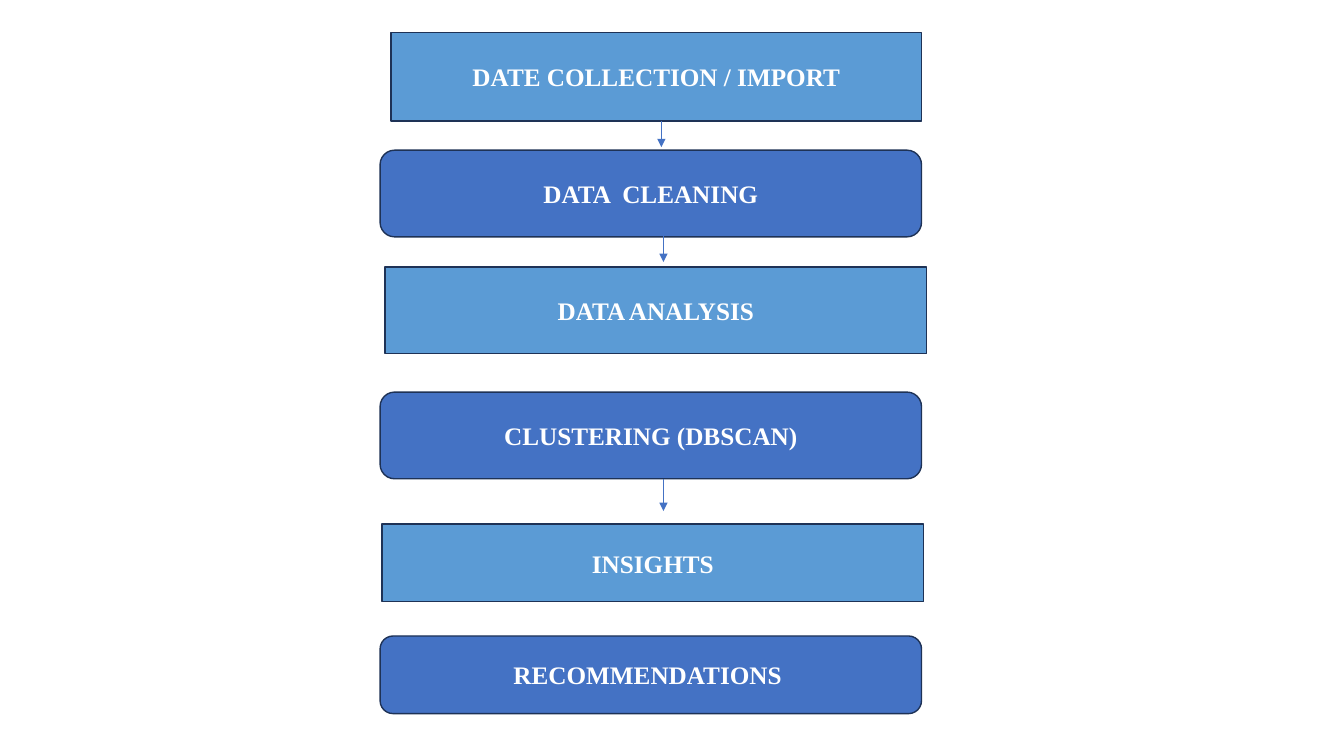
from lxml import etree
from pptx import Presentation
from pptx.dml.color import RGBColor
from pptx.enum import shapes, text
from pptx.oxml import ns
from pptx.util import Inches, Pt

FONT = "Times New Roman"
LIGHT_BLUE, BLUE = "5B9BD5", "4472C4"
OUTLINE, WHITE = "1E3256", "FFFFFF"
PROCESS = shapes.MSO_SHAPE.FLOWCHART_PROCESS
ALTERNATE = shapes.MSO_SHAPE.FLOWCHART_ALTERNATE_PROCESS

# Steps from top to bottom: label, left, top, width, height
STEPS = [
    ("DATE COLLECTION / IMPORT", 3.88, 0.32, 5.26, 0.88),
    ("DATA  CLEANING", 3.77, 1.49, 5.37, 0.86),
    ("DATA ANALYSIS", 3.82, 2.65, 5.37, 0.86),
    ("CLUSTERING (DBSCAN)", 3.77, 3.89, 5.37, 0.86),
    ("INSIGHTS", 3.79, 5.2, 5.37, 0.77),
    ("RECOMMENDATIONS ", 3.77, 6.31, 5.37, 0.77),
]

# Downward arrows: x, start y, end y
ARROWS = [(6.56, 1.2, 1.46), (6.58, 2.1, 2.6), (6.58, 4.75, 5.07)]


def rgb(value):
    return RGBColor.from_string(value)


def add_step(slide, kind, fill, label, *box):
    sp = slide.shapes.add_shape(kind, *map(Inches, box))
    sp.shadow.inherit = False
    sp.fill.solid()
    sp.fill.fore_color.rgb = rgb(fill)
    sp.line.color.rgb = rgb(OUTLINE)
    sp.line.width = Pt(1)

    tf = sp.text_frame
    tf.word_wrap = True
    tf.vertical_anchor = text.MSO_ANCHOR.MIDDLE
    p = tf.paragraphs[0]
    p.alignment = text.PP_ALIGN.CENTER
    r = p.add_run()
    r.text = label
    r.font.name = FONT
    r.font.size = Pt(18)
    r.font.bold = True
    r.font.color.rgb = rgb(WHITE)


def add_arrow(slide, x, start, end):
    line = slide.shapes.add_connector(
        shapes.MSO_CONNECTOR.STRAIGHT,
        Inches(x), Inches(start), Inches(x), Inches(end))
    line.line.color.rgb = rgb(BLUE)
    line.line.width = Pt(0.5)
    # Arrowhead, and no shadow
    etree.SubElement(line.line._get_or_add_ln(), ns.qn("a:tailEnd"), type="triangle")
    etree.SubElement(line._element.spPr, ns.qn("a:effectLst"))


def main():
    prs = Presentation()
    prs.slide_width, prs.slide_height = Inches(13.33), Inches(7.5)
    slide = prs.slides.add_slide(prs.slide_layouts[6])

    # Square and rounded steps alternate
    for i, step in enumerate(STEPS):
        kind, fill = (ALTERNATE, BLUE) if i % 2 else (PROCESS, LIGHT_BLUE)
        add_step(slide, kind, fill, *step)

    for arrow in ARROWS:
        add_arrow(slide, *arrow)

    prs.save("out.pptx")


if __name__ == "__main__":
    main()
